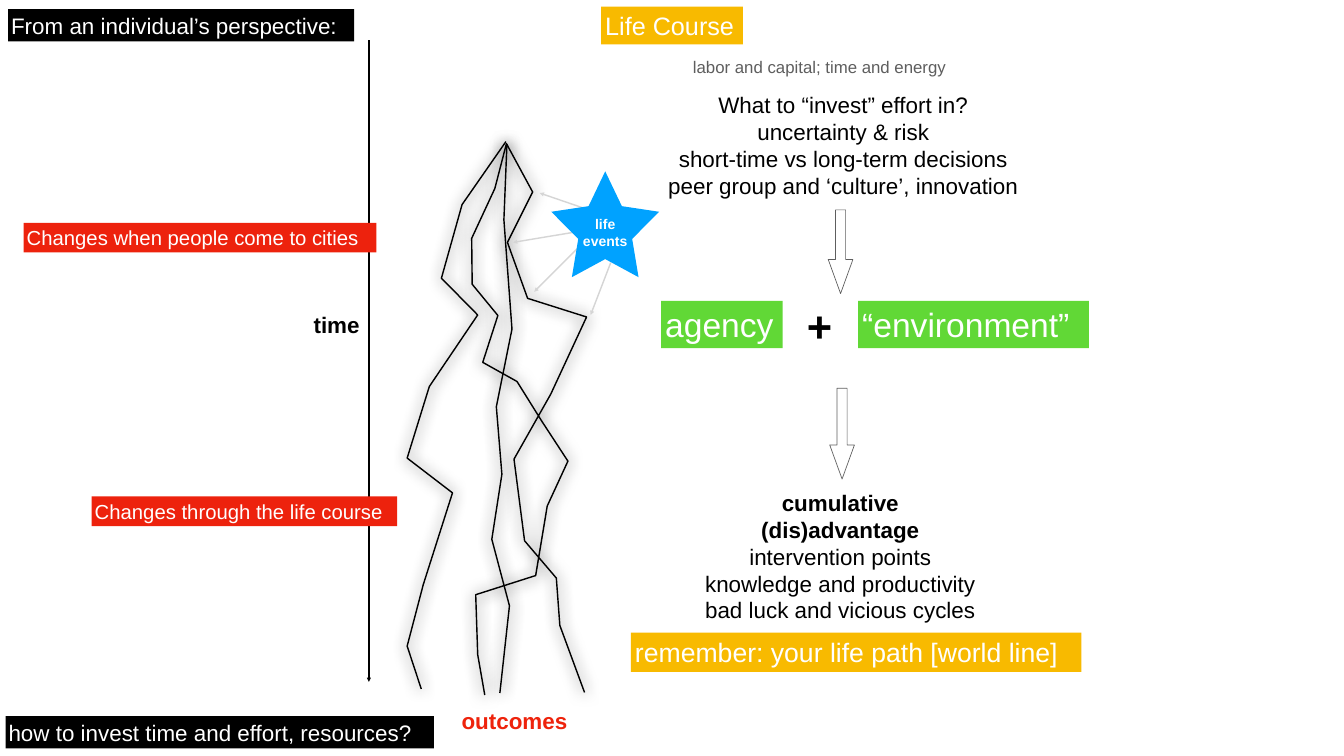
from lxml import etree
from pptx import Presentation
from pptx import util as u
from pptx.dml.color import RGBColor
from pptx.enum import shapes, text
from pptx.oxml.ns import qn

BLACK, WHITE, RED, GRAY, PALE = "000000", "FFFFFF", "EE230C", "5E5E5E", "D5D5D5"
GOLD, GREEN, CRIMSON, BLUE = "F8BA00", "61D836", "ED220D", "00A2FF"

# Labels: lines, (left, top, width, height), fill, inset, font
LABELS = [
    (["Life Course"], (11.93, 0.13, 2.81, 0.75), GOLD, 0.08, dict(size=36, color=WHITE)),
    (["agency"], (13.12, 5.97, 2.41, 0.94), GREEN, 0.08, dict(size=48, color=WHITE)),
    (["“environment”"], (17.03, 5.97, 4.58, 0.94), GREEN, 0.08, dict(size=48, color=WHITE)),
    (["remember: your life path [world line]"], (12.52, 12.55, 8.94, 0.78), GOLD, 0.08,
     dict(size=38, color=WHITE)),
    (["From an individual’s perspective:"], (0.16, 0.18, 6.87, 0.64), BLACK, 0.06,
     dict(size=32, color=WHITE)),
    (["how to invest time and effort, resources?"], (0.11, 14.21, 8.5, 0.64), BLACK, 0.06,
     dict(size=32, color=WHITE)),
    (["Changes when people come to cities"], (0.47, 4.42, 7, 0.59), CRIMSON, 0.06,
     dict(size=29, color=WHITE)),
    (["Changes through the life course"], (1.82, 9.85, 6.06, 0.59), CRIMSON, 0.06,
     dict(size=29, color=WHITE)),
]
NOTES = [
    (["time"], (6.13, 6.1, 1.1, 0.69), None, 0.08, dict(size=32, color=BLACK, bold=True)),
    (["outcomes"], (9.07, 13.95, 2.28, 0.69), None, 0.08, dict(size=32, color=RED, bold=True)),
    (["cumulative (dis)advantage", "intervention points", "knowledge and productivity",
      "bad luck and vicious cycles"], (13.82, 9.9, 5.71, 2.27), None, 0.08,
     dict(size=32, color=BLACK)),
    (["What to “invest” effort in?", "uncertainty & risk", "short-time vs long-term decisions",
      "peer group and ‘culture’, innovation"], (13.12, 1.75, 7.23, 2.25), None, 0.08,
     dict(size=32, color=BLACK)),
    (["+"], (15.92, 5.86, 0.69, 1.17), None, 0.08, dict(size=62, color=BLACK, bold=True)),
    (["labor and capital; time and energy"], (13.62, 1.08, 5.28, 0.5), None, 0.06,
     dict(size=24, color=GRAY)),
]
BOLD_LINES = {"cumulative (dis)advantage"}
STAR = (["life events"], (10.94, 3.4, 2.14, 2.1), BLUE, 0.06,
        dict(size=20, color=WHITE, bold=True))

# Life paths, from birth to outcome
LIFE_PATHS = [
    [(10.04, 2.81), (9.17, 4.06), (8.76, 5.52), (9.48, 6.25), (8.52, 7.67), (8.08, 9.09),
     (8.98, 9.78), (8.4, 11.6), (8.08, 12.82), (8.36, 13.67)],
    [(9.62, 13.79), (9.48, 12.99), (9.44, 11.8), (10.63, 11.42), (10.86, 10.04), (11.27, 9.15),
     (10.76, 8.37), (10.26, 7.57), (9.58, 7.19), (9.88, 6.26), (9.37, 5.64), (9.36, 4.73),
     (9.82, 3.74), (10.05, 2.85), (10.57, 3.81), (10.07, 4.81), (10.47, 5.92), (11.64, 6.29),
     (10.93, 7.82), (10.2, 9.11), (10.41, 10.73), (11.04, 11.47), (11.11, 12.41), (11.6, 13.74)],
    [(10.06, 2.86), (10, 4.36), (10.16, 6.53), (9.85, 8.07), (9.96, 9.41), (9.76, 10.7),
     (10.11, 12.02), (9.92, 13.75)],
]
TIME_AXIS = ((7.32, 0.8), (7.32, 13.53))
# Event arrows: star end, path end
EVENT_ARROWS = [((11.7, 4.17), (10.71, 3.83)), ((11.5, 4.59), (10.18, 4.81)),
                ((11.58, 4.81), (10.6, 5.79)), ((12.12, 5.21), (11.72, 6.25))]
BLOCK_ARROWS = [(15.85, 4.75, 1.66, 0.49), (15.81, 8.36, 1.8, 0.49)]

deck = Presentation()
deck.slide_width, deck.slide_height = u.Inches(26.67), u.Inches(15)
page = deck.slides.add_slide(deck.slide_layouts[6])


def rgb(color):
    return RGBColor.from_string(color)


def paint(shape, fill=None, line=None, width=2):
    shape.shadow.inherit = False
    if fill:
        shape.fill.solid()
        shape.fill.fore_color.rgb = rgb(fill)
    else:
        shape.fill.background()
    if line:
        shape.line.color.rgb = rgb(line)
        shape.line.width = u.Pt(width)
    else:
        shape.line.fill.background()


def write(shape, lines, inset, font, align, wrap):
    frame = shape.text_frame
    settings = dict(word_wrap=wrap, vertical_anchor=text.MSO_ANCHOR.MIDDLE,
                    auto_size=text.MSO_AUTO_SIZE.NONE if wrap
                    else text.MSO_AUTO_SIZE.SHAPE_TO_FIT_TEXT)
    settings.update({f"margin_{side}": u.Inches(inset)
                     for side in ("left", "top", "right", "bottom")})
    for name, value in settings.items():
        setattr(frame, name, value)
    for index, line in enumerate(lines):
        para = frame.paragraphs[0] if index == 0 else frame.add_paragraph()
        para.alignment = align
        span = para.add_run()
        span.text = line
        looks = dict(name="Arial", size=u.Pt(font["size"]),
                     bold=font.get("bold", False) or line in BOLD_LINES)
        for name, value in looks.items():
            setattr(span.font, name, value)
        span.font.color.rgb = rgb(font["color"])


def add_label(lines, place, fill, inset, font, kind=shapes.MSO_SHAPE.RECTANGLE,
              align=text.PP_ALIGN.CENTER):
    place = [u.Inches(length) for length in place]
    if fill:
        box = page.shapes.add_shape(kind, *place)
        paint(box, fill)
    else:
        box = page.shapes.add_textbox(*place)
    write(box, lines, inset, font, align, wrap=bool(fill))
    return box


def add_arrow(start, end, color):
    arrow = page.shapes.add_connector(shapes.MSO_CONNECTOR.STRAIGHT,
                                      *[u.Inches(length) for length in start + end])
    arrow.line.color.rgb = rgb(color)
    arrow.line.width = u.Pt(2)
    etree.SubElement(arrow.line._get_or_add_ln(), qn("a:tailEnd"), type="triangle")
    etree.SubElement(arrow._element.spPr, qn("a:effectLst"))


def add_life_path(points):
    points = [(u.Inches(x), u.Inches(y)) for x, y in points]
    builder = page.shapes.build_freeform(*points[0])
    builder.add_line_segments(points[1:], close=False)
    curve = builder.convert_to_shape()
    paint(curve, line=BLACK)
    # Soft shadow all around the line
    effects = curve._element.spPr.find(qn("a:effectLst"))
    shadow = etree.SubElement(effects, qn("a:outerShdw"), blurRad=str(u.Pt(21)),
                              dist="0", dir="5400000", rotWithShape="0")
    etree.SubElement(shadow, qn("a:srgbClr"), val=BLACK)


# Time axis and notes
add_arrow(*TIME_AXIS, BLACK)
for note in NOTES:
    add_label(*note)

# Block arrows pointing down
for place in BLOCK_ARROWS:
    block = page.shapes.add_shape(shapes.MSO_SHAPE.RIGHT_ARROW,
                                  *[u.Inches(length) for length in place])
    paint(block, WHITE, GRAY, 1)
    block.rotation = 90
    block.adjustments[0], block.adjustments[1] = 0.41, 1.38

# Life paths with the events that bend them
for points in LIFE_PATHS:
    add_life_path(points)
for start, end in EVENT_ARROWS:
    add_arrow(start, end, PALE)

# A plump star leaves room for its text
star = add_label(*STAR, kind=shapes.MSO_SHAPE.STAR_5_POINT)
star.adjustments[0] = 0.25

# Coloured labels
for label in LABELS:
    add_label(*label, align=text.PP_ALIGN.LEFT)

deck.save("out.pptx")
